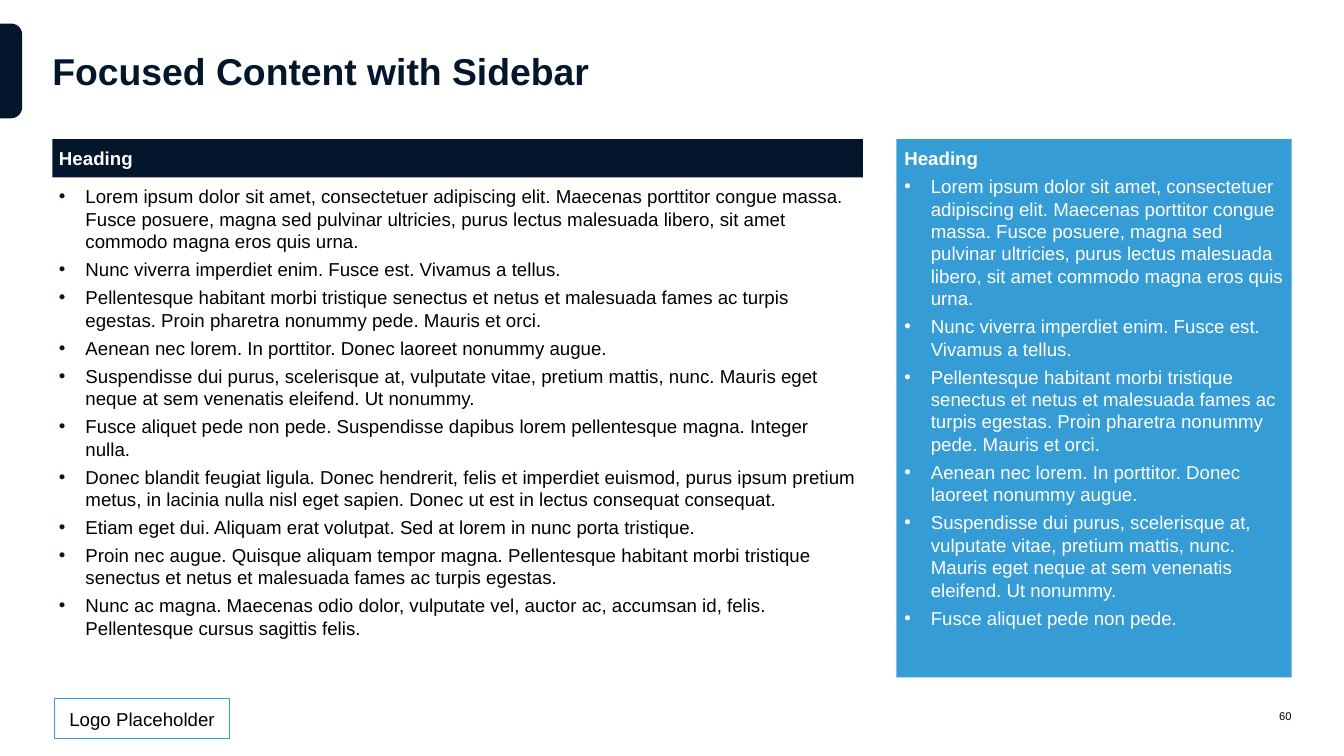
import pptx
import pptx.util
import pptx.dml.color
import pptx.enum.shapes
import pptx.enum.text
from lxml import etree

Pt = pptx.util.Pt
SHAPE = pptx.enum.shapes.MSO_SHAPE
ALIGN = pptx.enum.text.PP_ALIGN
ANCHOR = pptx.enum.text.MSO_ANCHOR
COLORS = {"navy": "04162B", "blue": "359CD5", "white": "FFFFFF", "black": "000000"}
A = "{http://schemas.openxmlformats.org/drawingml/2006/main}"

LEFT, RIGHT = 56.16, 1383.84
BODY_TOP, HEADING_HEIGHT, MAIN_WIDTH = 149, 41, 868.3
SIDEBAR_LEFT = 960.5
BULLET_INDENT = 28.35

POINTS = [
    "Lorem ipsum dolor sit amet, consectetuer adipiscing elit. Maecenas porttitor congue massa. "
    "Fusce posuere, magna sed pulvinar ultricies, purus lectus malesuada libero, sit amet "
    "commodo magna eros quis urna.",
    "Nunc viverra imperdiet enim. Fusce est. Vivamus a tellus.",
    "Pellentesque habitant morbi tristique senectus et netus et malesuada fames ac turpis "
    "egestas. Proin pharetra nonummy pede. Mauris et orci.",
    "Aenean nec lorem. In porttitor. Donec laoreet nonummy augue.",
    "Suspendisse dui purus, scelerisque at, vulputate vitae, pretium mattis, nunc. Mauris eget "
    "neque at sem venenatis eleifend. Ut nonummy.",
    "Fusce aliquet pede non pede. Suspendisse dapibus lorem pellentesque magna. Integer nulla.",
    "Donec blandit feugiat ligula. Donec hendrerit, felis et imperdiet euismod, purus ipsum "
    "pretium metus, in lacinia nulla nisl eget sapien. Donec ut est in lectus consequat consequat.",
    "Etiam eget dui. Aliquam erat volutpat. Sed at lorem in nunc porta tristique.",
    "Proin nec augue. Quisque aliquam tempor magna. Pellentesque habitant morbi tristique "
    "senectus et netus et malesuada fames ac turpis egestas.",
    "Nunc ac magna. Maecenas odio dolor, vulputate vel, auctor ac, accumsan id, felis. "
    "Pellentesque cursus sagittis felis.",
]
SIDEBAR_POINTS = POINTS[:5] + ["Fusce aliquet pede non pede."]

presentation = pptx.Presentation()
presentation.slide_width, presentation.slide_height = Pt(1440), Pt(810)
slide = presentation.slides.add_slide(presentation.slide_layouts[6])


def add_block(box, fill=None, line=None, preset=SHAPE.RECTANGLE):
    """Add a plain preset shape, or a text box when it has no fill."""
    lengths = [Pt(value) for value in box]
    if fill is None:
        return slide.shapes.add_textbox(*lengths)
    block = slide.shapes.add_shape(preset, *lengths)
    block.shadow.inherit = False
    block.fill.solid()
    block.fill.fore_color.rgb = pptx.dml.color.RGBColor.from_string(COLORS[fill])
    if line:
        block.line.color.rgb = pptx.dml.color.RGBColor.from_string(COLORS[line])
        block.line.width = Pt(1.5)
    else:
        block.line.fill.background()
    return block


def write(block, texts, color, size=20, bold=False, align=ALIGN.LEFT, anchor=ANCHOR.MIDDLE,
          insets=(0, 0), bullet=None):
    """Append paragraphs; bullet is the bullet colour, insets are horizontal and vertical."""
    frame = block.text_frame
    frame.word_wrap = True
    frame.vertical_anchor = anchor
    frame.margin_left = frame.margin_right = Pt(insets[0])
    frame.margin_top = frame.margin_bottom = Pt(insets[1])
    for text in texts:
        first = not frame.text
        paragraph = frame.paragraphs[0] if first else frame.add_paragraph()
        paragraph.text = text
        paragraph.alignment = align
        if anchor == ANCHOR.TOP:
            paragraph.space_before = Pt(0 if first else 3)
            paragraph.space_after = Pt(3)
        if bullet:
            properties = paragraph._p.get_or_add_pPr()
            properties.set("marL", str(Pt(BULLET_INDENT)))
            properties.set("indent", str(-Pt(BULLET_INDENT)))
            bullet_color = etree.SubElement(properties, A + "buClr")
            etree.SubElement(bullet_color, A + "srgbClr", val=COLORS[bullet])
            etree.SubElement(properties, A + "buFont", typeface="Arial")
            etree.SubElement(properties, A + "buChar", char="•")
        font = paragraph.font
        font.name, font.size, font.bold = "Arial", Pt(size), bold
        font.color.rgb = pptx.dml.color.RGBColor.from_string(COLORS[color])


edge_tab = add_block((-38.88, 64.08, 101.52, 23.76), "navy", preset=SHAPE.ROUND_2_SAME_RECTANGLE)
edge_tab.adjustments[0] = 0.5
edge_tab.rotation = 90

logo = add_block((58.5, 748.3, 187.5, 43.2), "white", "blue")
write(logo, ["Logo Placeholder"], "black", align=ALIGN.CENTER)

title = add_block((LEFT, 25.2, RIGHT - LEFT, 100))
write(title, ["Focused Content with Sidebar"], "navy", size=40, bold=True)

main_heading = add_block((LEFT, BODY_TOP, MAIN_WIDTH, HEADING_HEIGHT), "navy")
write(main_heading, ["Heading"], "white", bold=True, insets=(7.2, 2.9))

main_body = add_block((LEFT, BODY_TOP + HEADING_HEIGHT, MAIN_WIDTH, 537))
write(main_body, POINTS, "black", anchor=ANCHOR.TOP, insets=(7.2, 8.5), bullet="navy")

sidebar = add_block((SIDEBAR_LEFT, BODY_TOP, RIGHT - SIDEBAR_LEFT, 576.7), "blue")
sidebar_style = {"anchor": ANCHOR.TOP, "insets": (8.5, 8.5)}
write(sidebar, ["Heading"], "white", bold=True, **sidebar_style)
write(sidebar, SIDEBAR_POINTS, "white", bullet="white", **sidebar_style)

page_number = add_block((1320.5, 748.3, RIGHT - 1320.5, 36.7))
write(page_number, ["60"], "black", size=12, align=ALIGN.RIGHT)

presentation.save("out.pptx")
